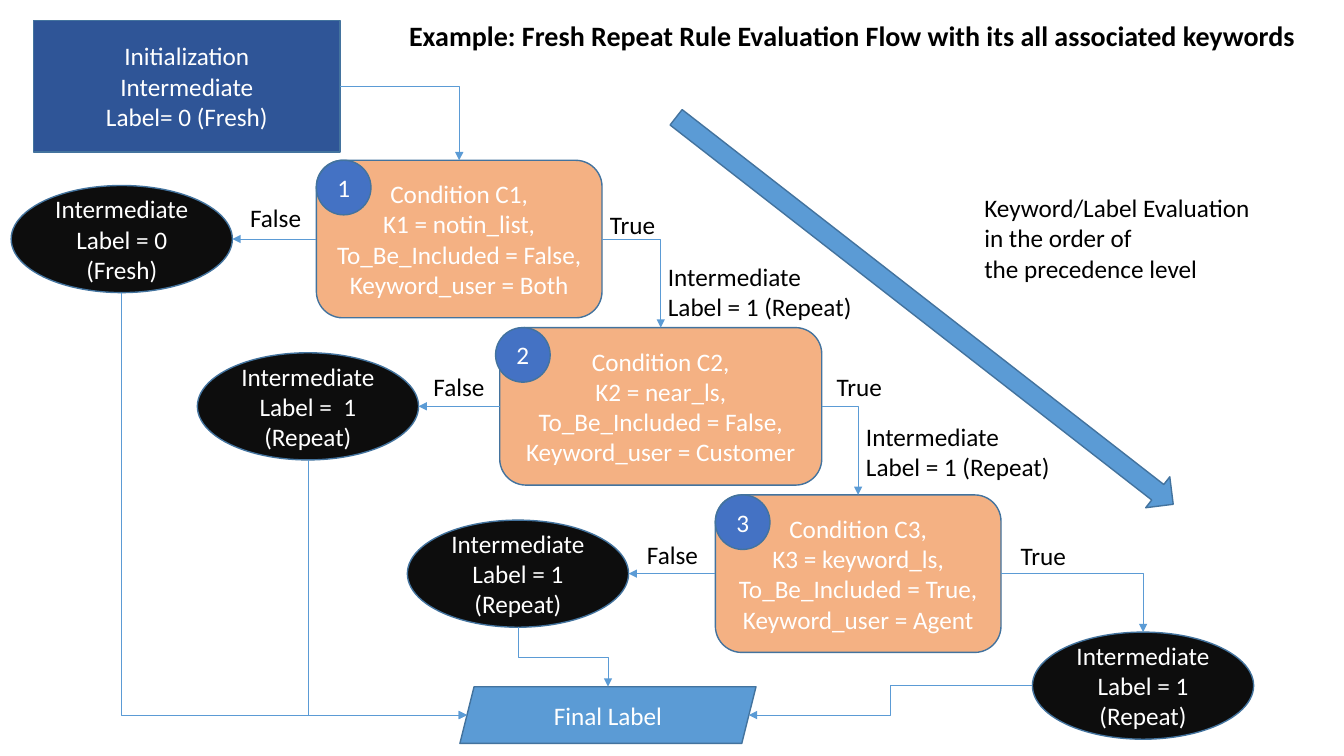
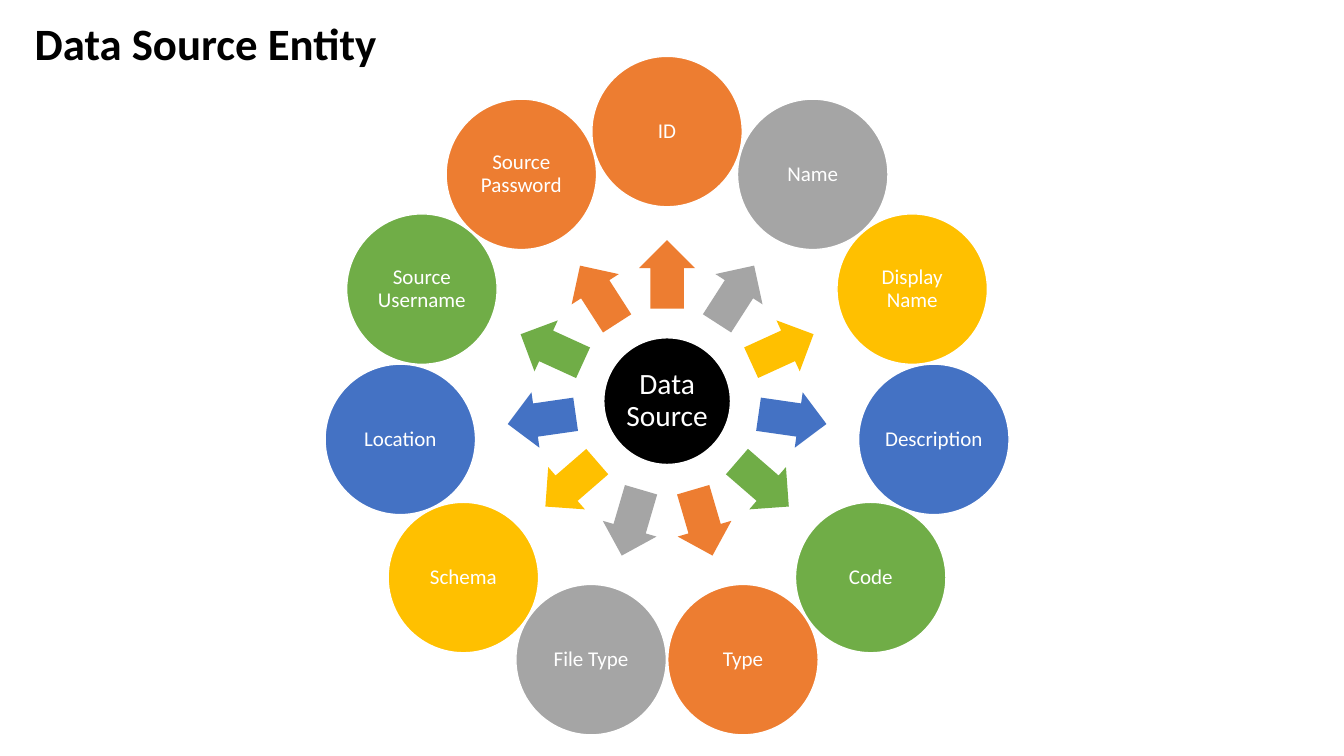
from dataclasses import dataclass
from itertools import cycle
from math import cos, radians, sin

from lxml import etree
from pptx import Presentation
from pptx.dml.color import RGBColor
from pptx.enum.shapes import MSO_CONNECTOR, MSO_SHAPE
from pptx.enum.text import MSO_ANCHOR, MSO_AUTO_SIZE, PP_ALIGN
from pptx.oxml.ns import qn
from pptx.util import Pt

RECT, ROUND = MSO_SHAPE.RECTANGLE, MSO_SHAPE.ROUNDED_RECTANGLE
OVAL, SLANT = MSO_SHAPE.OVAL, MSO_SHAPE.PARALLELOGRAM
DOWN, RIGHT = MSO_SHAPE.DOWN_ARROW, MSO_SHAPE.RIGHT_ARROW
ELBOW = MSO_CONNECTOR.ELBOW
LEFT, CENTER = PP_ALIGN.LEFT, PP_ALIGN.CENTER
TOP, MIDDLE = MSO_ANCHOR.TOP, MSO_ANCHOR.MIDDLE
FIXED = MSO_AUTO_SIZE.NONE


@dataclass(frozen=True)
class Theme:
    font: str = "Calibri"
    black: str = "000000"
    white: str = "FFFFFF"
    ink: str = "0D0D0D"
    edge: str = "43739E"
    sky: str = "5B9BD5"
    navy: str = "2F5597"
    peach: str = "F4B183"
    blue: str = "4472C4"
    ring: tuple = ("ED7D31", "A5A5A5", "FFC000", "4472C4", "70AD47")
    body: int = 18
    hub: int = 21
    node: int = 15


T = Theme()


def write(frame, lines, size, color, align=LEFT, bold=False):
    """One paragraph per line; a newline inside a line is a soft break."""
    for i, line in enumerate(lines):
        para = frame.paragraphs[0] if i == 0 else frame.add_paragraph()
        para.alignment = align
        for j, part in enumerate(line.split("\n")):
            if j:
                para.add_line_break()
            run = para.add_run()
            run.text = part
            font = run.font
            font.name, font.size, font.bold = T.font, Pt(size), bold
            font.color.rgb = RGBColor.from_string(color)


def draw(slide, kind, box, fill, edge=None, lines=(), size=T.body):
    """Filled preset shape with centred white text."""
    shape = slide.shapes.add_shape(kind, *map(Pt, box))
    shape.shadow.inherit = False
    shape.fill.solid()
    shape.fill.fore_color.rgb = RGBColor.from_string(fill)
    if edge:
        shape.line.color.rgb = RGBColor.from_string(edge)
        shape.line.width = Pt(1)
    else:
        shape.line.fill.background()
    shape.text_frame.vertical_anchor = MIDDLE
    write(shape.text_frame, lines, size, T.white, CENTER)
    return shape


deck = Presentation()
deck.slide_width, deck.slide_height = Pt(960), Pt(540)

# Slides and titles
slides = []
for text, box, size in (
    ("Example: Fresh Repeat Rule Evaluation Flow with its all associated keywords",
     (285, 9.5, 652, 31.5), 20),
    ("Data Source Entity", (17.5, 7.5, 261, 46), 32),
):
    slide = deck.slides.add_slide(deck.slide_layouts[5])
    title = slide.shapes.title
    title.left, title.top, title.width, title.height = map(Pt, box)
    frame = title.text_frame
    frame.auto_size, frame.word_wrap, frame.vertical_anchor = FIXED, False, TOP
    write(frame, [text], size, T.black, bold=True)
    slides.append(slide)
flow, wheel = slides

# Flow: start and end
start = draw(flow, RECT, (24, 14.5, 219, 94), T.navy, T.edge,
             ["Initialization", "Intermediate", "Label= 0 (Fresh)"])
final = draw(flow, SLANT, (328.5, 490.5, 211.5, 40.5), T.sky, T.edge, ["Final Label"])

# Flow: conditions, their badges and the labels reached when false
rules, falses = [], []
for i, (left, wide, shift, oval, key, include, user, label) in enumerate((
    (226, 204, 0, 8, "notin_list", "False", "Both", "Label = 0 (Fresh)"),
    (357, 230, -3, 141, "near_ls", "False", "Customer", "Label =  1 (Repeat)"),
    (511, 204, 0, 291, "keyword_ls", "True", "Agent", "Label = 1 (Repeat)"),
)):
    top, num = 114.5 + 119.5 * i, i + 1
    rules.append(draw(flow, ROUND, (left, top, wide, 112.5), T.peach, T.edge, [
        f"Condition C{num},", f"K{num} = {key},",
        f"To_Be_Included = {include},", f"Keyword_user = {user}"]))
    draw(flow, OVAL, (left + shift, top, 39, 39), T.blue, T.edge, [str(num)])
    falses.append(draw(flow, OVAL, (oval, top + 18, 158, 76.5), T.ink, T.edge,
                       ["Intermediate\n" + label]))
last = draw(flow, OVAL, (737.5, 451.5, 158, 76.5), T.ink, T.edge,
            ["Intermediate\nLabel = 1 (Repeat)"])

# Flow: precedence arrow
arrow = draw(flow, DOWN, (646.5, -3, 28, 450), T.sky, T.edge)
arrow.rotation = 307.9

# Flow: free text
repeat = ["Intermediate", "Label = 1 (Repeat)"]
for lines, box in (
    (["Keyword/Label Evaluation", "in the order of", "the precedence level"],
     (696, 134, 215, 73)),
    (["True"], (428.5, 146, 47.5, 29)),
    (["True"], (590.5, 262, 47.5, 29)),
    (["True"], (722, 382.5, 47.5, 29)),
    (["False"], (171.5, 141, 51, 29)),
    (["False"], (302.5, 262, 51, 29)),
    (["False"], (455, 382, 51, 29)),
    (repeat, (470, 183, 158.5, 51)),
    (repeat, (611.5, 297.5, 158.5, 51)),
):
    frame = flow.shapes.add_textbox(*map(Pt, box)).text_frame
    frame.word_wrap = len(lines) > 1
    write(frame, lines, T.body, T.black)

# Flow: elbow links, glued to the numbered sites of each shape kind
quad = {"t": 0, "l": 1, "b": 2, "r": 3}
sites = {RECT: quad, ROUND: quad,
         OVAL: {"t": 0, "l": 2, "b": 4, "r": 6},
         SLANT: {"t": 0, "r": 2, "l": 5}}
spots = {"t": (0.5, 0), "l": (0, 0.5), "b": (0.5, 1), "r": (1, 0.5)}
links = [(start, "r", rules[0], "t"), (rules[0], "r", rules[1], "t"),
         (rules[1], "r", rules[2], "t"), (rules[2], "r", last, "t"),
         (falses[0], "b", final, "l"), (falses[1], "b", final, "l"),
         (falses[2], "b", final, "t"), (last, "l", final, "r")]
links += [(rule, "l", oval, "r") for rule, oval in zip(rules, falses)]
for head, out, tail, into in links:
    ends = []
    for shape, side in ((head, out), (tail, into)):
        fx, fy = spots[side]
        x, y = shape.left + fx * shape.width, shape.top + fy * shape.height
        if shape is final:  # slanted sides sit inside the box
            x += (1 - 2 * fx) * shape.height / 8
        ends += [x, y]
    if out == "b":  # drawn sideways, then turned to leave downwards
        x1, y1, x2, y2 = ends
        mx, my, dx, dy = (x1 + x2) / 2, (y1 + y2) / 2, (x2 - x1) / 2, (y2 - y1) / 2
        ends = [mx + dy, my - dx, mx - dy, my + dx]
    link = flow.shapes.add_connector(ELBOW, *map(int, ends))
    link.line.color.rgb = RGBColor.from_string(T.sky)
    link.line.width = Pt(0.5)
    props = link.element.spPr
    if out == "b":
        props.find(qn("a:xfrm")).set("rot", "16200000")
    if (out in "tb") != (into in "tb"):
        props.find(qn("a:prstGeom")).set("prst", "bentConnector2")
    etree.SubElement(props.find(qn("a:ln")), qn("a:tailEnd"), type="triangle")
    etree.SubElement(props, qn("a:effectLst"))
    glue = link.element.find(".//" + qn("p:cNvCxnSpPr"))
    for tag, shape, side in (("a:stCxn", head, out), ("a:endCxn", tail, into)):
        etree.SubElement(glue, qn(tag), id=str(shape.shape_id),
                         idx=str(sites[shape.auto_shape_type][side]))

# Wheel: hub, then nodes and arrows at equal angles
names = ["ID", "Name", "Display Name", "Description", "Code", "Type", "File Type",
         "Schema", "Location", "Source Username", "Source Password"]
cx, cy = 476.5, 286.5
discs = [("Data Source", cx, cy, 90.5, T.black, T.hub)]
for i, (name, color) in enumerate(zip(names, cycle(T.ring))):
    turn = 360 * i / len(names) - 90
    ux, uy = cos(radians(turn)), sin(radians(turn))
    discs.append((name, cx + 192.5 * ux, cy + 192.5 * uy, 107.5, color, T.node))
    arrow = draw(wheel, RIGHT, (cx + 90.5 * ux - 24.5, cy + 90.5 * uy - 20, 49, 40), color)
    arrow.adjustments[0], arrow.adjustments[1] = 0.6, 0.5
    arrow.rotation = turn % 360
for name, x, y, wide, color, size in discs:
    disc = draw(wheel, OVAL, (x - wide / 2, y - wide / 2, wide, wide),
                color, T.white, [name], size)
    frame = disc.text_frame
    frame.margin_left = frame.margin_right = Pt(1.5)
    frame.margin_top = frame.margin_bottom = Pt(1.5)
    frame.paragraphs[0].line_spacing = 0.9

deck.save("out.pptx")
